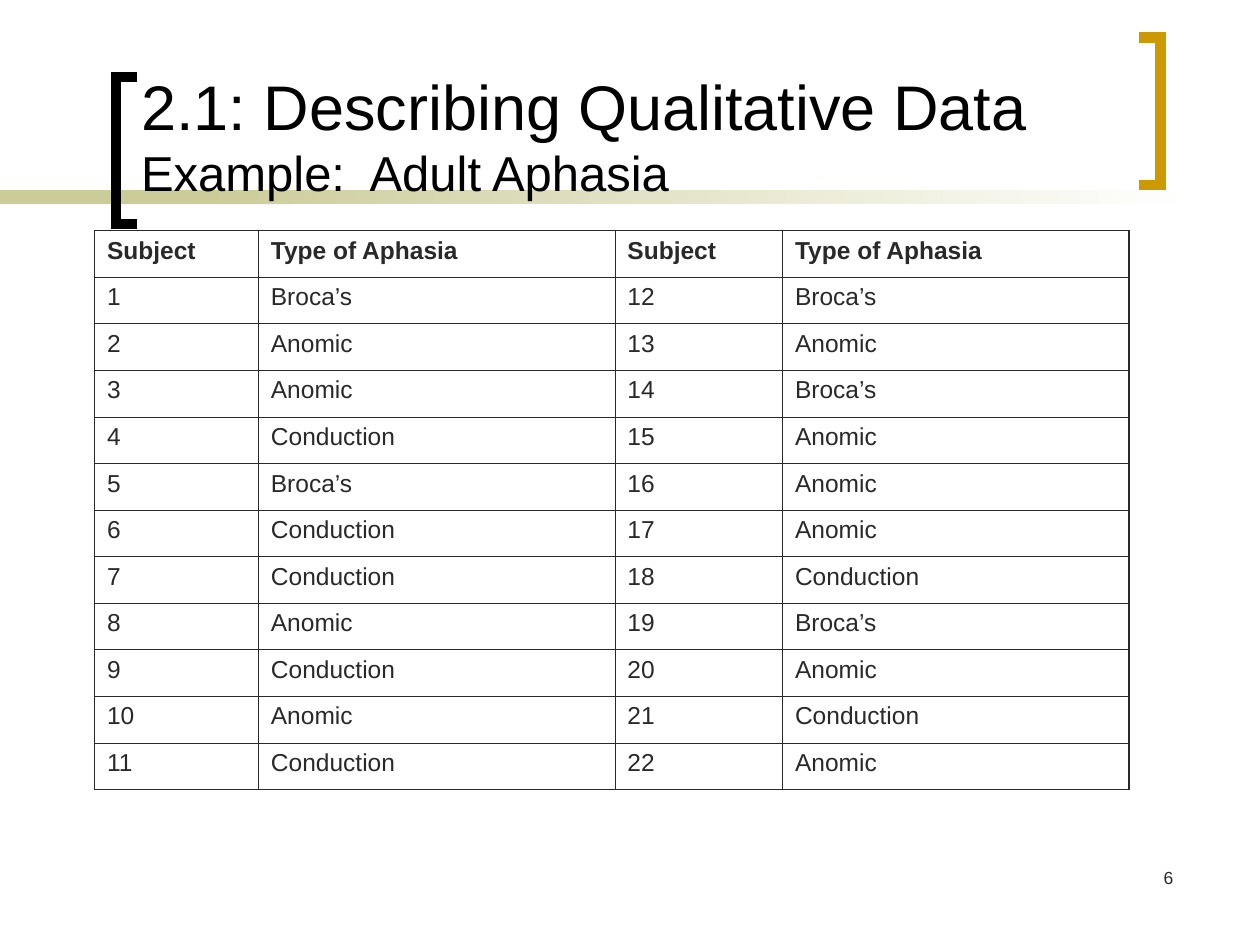
import copy
from dataclasses import dataclass

import lxml.etree
import pptx
import pptx.dml.color
import pptx.enum.shapes
import pptx.enum.text
import pptx.oxml.ns
import pptx.util

Inches = pptx.util.Inches
Pt = pptx.util.Pt
qn = pptx.oxml.ns.qn


@dataclass(frozen=True)
class Theme:
    font: str = "Arial"
    title_color: str = "000000"
    text_color: str = "292929"
    band_color: str = "CCCC99"
    paper_color: str = "FFFFFF"
    accent_color: str = "CC9900"
    title_size: float = 36
    subtitle_size: float = 28
    table_size: float = 14
    number_size: float = 10
    bracket_line: float = 6
    outer_border: float = 1.08
    inner_border: float = 0.45


THEME = Theme()

HEADINGS = ["Subject", "Type of Aphasia"]
APHASIA_TYPES = [
    "Broca’s", "Anomic", "Anomic", "Conduction", "Broca’s", "Conduction",
    "Conduction", "Anomic", "Conduction", "Anomic", "Conduction",
    "Broca’s", "Anomic", "Broca’s", "Anomic", "Anomic", "Anomic",
    "Conduction", "Broca’s", "Anomic", "Conduction", "Anomic",
]
COLUMN_WIDTHS = [1.3, 2.83, 1.33, 2.75]


def rgb(color):
    return pptx.dml.color.RGBColor.from_string(color)


def format_run(run, size, color, bold=False):
    run.font.name = THEME.font
    run.font.size = Pt(size)
    run.font.bold = bold
    run.font.color.rgb = rgb(color)


def add_band(page, left, top, width, height, end_color=None):
    """Horizontal stripe, plain or fading to end_color."""
    band = page.shapes.add_shape(
        pptx.enum.shapes.MSO_SHAPE.RECTANGLE,
        Inches(left), Inches(top), Inches(width), Inches(height))
    band.shadow.inherit = False
    band.line.fill.background()
    if end_color is None:
        band.fill.solid()
        band.fill.fore_color.rgb = rgb(THEME.band_color)
        return
    band.fill.gradient()
    band.fill.gradient_angle = 0
    for stop, color in zip(band.fill.gradient_stops, (THEME.band_color, end_color)):
        stop.color.rgb = rgb(color)


def add_bracket(page, left, top, width, height, color, opens_right):
    """Square bracket whose arms point right or left."""
    right = left + width
    spine, tip = (left, right) if opens_right else (right, left)
    corners = [(spine, top), (spine, top + height), (tip, top + height)]
    builder = page.shapes.build_freeform(Inches(tip), Inches(top))
    builder.add_line_segments([(Inches(x), Inches(y)) for x, y in corners], close=False)
    bracket = builder.convert_to_shape()
    bracket.shadow.inherit = False
    bracket.fill.background()
    bracket.line.color.rgb = rgb(color)
    bracket.line.width = Pt(THEME.bracket_line)
    lxml.etree.SubElement(bracket.line._get_or_add_ln(), qn("a:miter"), lim="800000")


def place_title(page, left, top, width, height):
    title = page.shapes.title
    title.left, title.top = Inches(left), Inches(top)
    title.width, title.height = Inches(width), Inches(height)
    frame = title.text_frame
    frame.text = "2.1: Describing Qualitative Data\vExample:  Adult Aphasia"
    frame.word_wrap = True
    frame.auto_size = pptx.enum.text.MSO_AUTO_SIZE.NONE
    frame.vertical_anchor = pptx.enum.text.MSO_ANCHOR.BOTTOM
    para = frame.paragraphs[0]
    para.alignment = pptx.enum.text.PP_ALIGN.LEFT
    for run, size in zip(para.runs, (THEME.title_size, THEME.subtitle_size)):
        format_run(run, size, THEME.title_color)
    # The line break takes the size of the first line
    line_break = para._p.find(qn("a:br"))
    line_break.insert(0, copy.deepcopy(para.runs[0]._r.rPr))
    # Bring the title in front of the band
    page.shapes._spTree.append(title._element)


def add_page_number(page, left, top, width, height):
    box = page.shapes.add_textbox(Inches(left), Inches(top), Inches(width), Inches(height))
    box.text_frame.word_wrap = True
    box.text_frame.text = "6"
    para = box.text_frame.paragraphs[0]
    para.alignment = pptx.enum.text.PP_ALIGN.RIGHT
    format_run(para.runs[0], THEME.number_size, THEME.text_color)


def set_borders(cell, outer_sides):
    """Draw all four cell borders, heavier on the outer sides."""
    properties = cell._tc.get_or_add_tcPr()
    for side in "LRTB":
        width = THEME.outer_border if side in outer_sides else THEME.inner_border
        line = lxml.etree.SubElement(properties, qn("a:ln" + side), w=str(int(Pt(width))))
        fill = lxml.etree.SubElement(line, qn("a:solidFill"))
        lxml.etree.SubElement(fill, qn("a:srgbClr"), val=THEME.text_color)


def add_subject_table(page, left, top, height):
    # Subjects run down the left half, then down the right half
    half = len(APHASIA_TYPES) // 2
    rows = [HEADINGS * 2]
    for index in range(half):
        rows.append([str(index + 1), APHASIA_TYPES[index],
                     str(index + half + 1), APHASIA_TYPES[index + half]])

    table = page.shapes.add_table(
        len(rows), len(COLUMN_WIDTHS), Inches(left), Inches(top),
        Inches(sum(COLUMN_WIDTHS)), Inches(height)).table
    table.first_row = False
    table.horz_banding = False
    for column, width in zip(table.columns, COLUMN_WIDTHS):
        column.width = Inches(width)

    last_row, last_column = len(rows) - 1, len(COLUMN_WIDTHS) - 1
    for row_index, row in enumerate(rows):
        table.rows[row_index].height = Inches(height / len(rows))
        for column_index, text in enumerate(row):
            cell = table.cell(row_index, column_index)
            cell.text = text
            format_run(cell.text_frame.paragraphs[0].runs[0], THEME.table_size,
                       THEME.text_color, bold=row_index == 0)
            edges = {"L": column_index == 0, "R": column_index == last_column,
                     "T": row_index == 0, "B": row_index == last_row}
            set_borders(cell, [side for side, outer in edges.items() if outer])
            cell.fill.background()


def main():
    deck = pptx.Presentation()
    deck.slide_width, deck.slide_height = Inches(10), Inches(7.5)
    page = deck.slides.add_slide(deck.slide_layouts[5])
    page.background.fill.solid()
    page.background.fill.fore_color.rgb = rgb(THEME.paper_color)

    # Decoration behind the title
    add_band(page, 0, 1.51, 2.33, 0.11)
    add_band(page, 1.58, 1.51, 7.92, 0.11, end_color=THEME.paper_color)
    add_bracket(page, 0.92, 0.61, 0.17, 1.17, THEME.title_color, opens_right=True)
    add_bracket(page, 9.04, 0.3, 0.17, 1.17, THEME.accent_color, opens_right=False)

    # Content
    add_page_number(page, 7.33, 6.83, 2.08, 0.5)
    place_title(page, 1.02, 0.58, 7.83, 1.07)
    add_subject_table(page, 0.75, 1.83, 4.44)

    deck.save("out.pptx")


if __name__ == "__main__":
    main()
